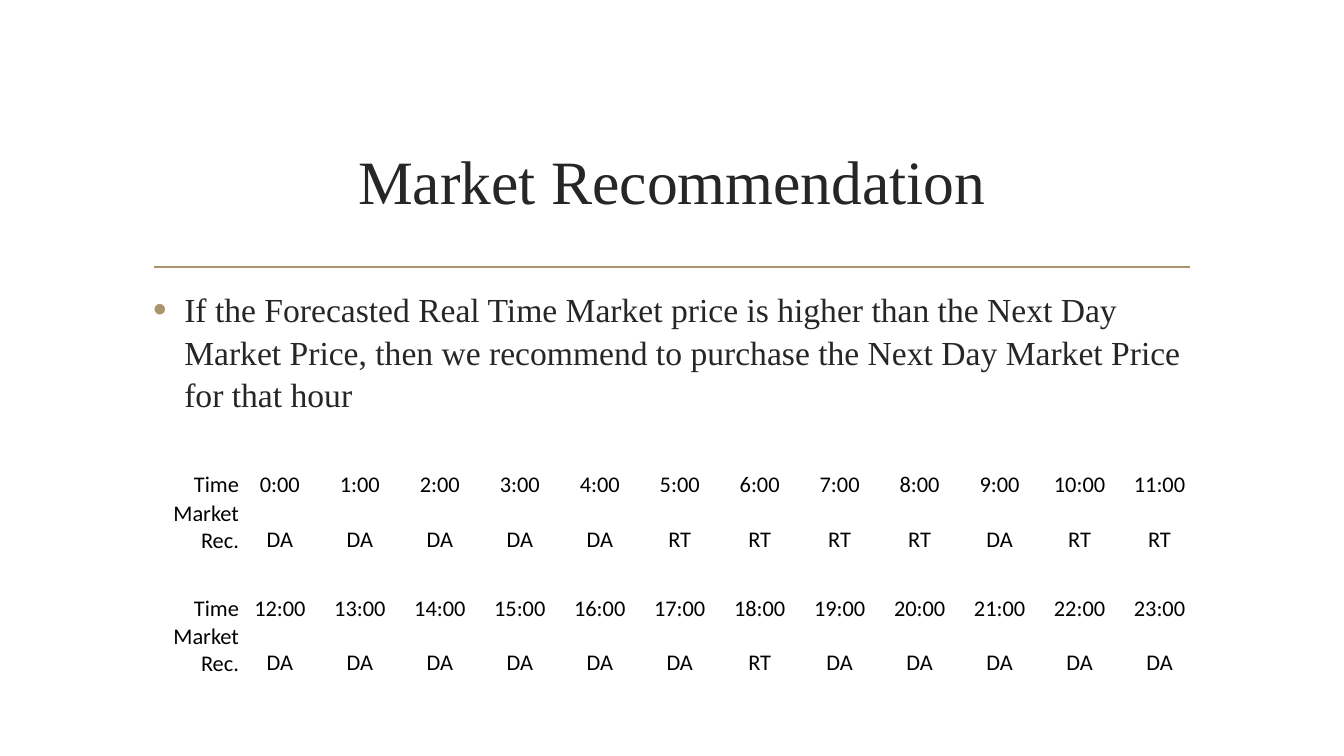
from lxml.etree import SubElement
from pptx import Presentation
from pptx.dml.color import RGBColor
from pptx.enum.shapes import MSO_CONNECTOR
from pptx.enum.text import MSO_ANCHOR as Anchor, PP_ALIGN as Align
from pptx.oxml.ns import qn
from pptx.util import Inches, Pt

WIDTH, HEIGHT = Inches(13.333), Inches(7.5)
GOLD = RGBColor(0xAB, 0x94, 0x6B)
CHARCOAL = RGBColor(0x26, 0x26, 0x26)
BLACK = RGBColor(0, 0, 0)
SERIF, SANS = "Times New Roman", "Calibri"

RULE = "If the Forecasted Real Time Market price is higher than the Next Day Market Price, then we recommend to purchase the Next Day Market Price for that hour"
MORNING = "DA DA DA DA DA RT RT RT RT DA RT RT".split()
EVENING = "DA DA DA DA DA DA RT DA DA DA DA DA".split()
HALF_DAY = 12


def across(percent):
    """Return a share of the slide's width."""
    return round(WIDTH * percent / 100)


def down(percent):
    """Return a share of the slide's height."""
    return round(HEIGHT * percent / 100)


def style(paragraph, font_name, size, color, align):
    """Format a paragraph and its runs."""
    paragraph.alignment = align
    for run in paragraph.runs:
        run.font.name, run.font.size = font_name, Pt(size)
        run.font.color.rgb = color


def add_text(slide, text, top, height, size, align, anchor):
    """Add a text block as wide as the content and return its paragraph."""
    block = slide.shapes.add_textbox(across(10.65), down(top), across(78.75), down(height))
    frame = block.text_frame
    frame.word_wrap = True
    frame.vertical_anchor = anchor
    frame.text = text
    style(frame.paragraphs[0], SERIF, size, CHARCOAL, align)
    return frame.paragraphs[0]


def add_bullet(paragraph):
    """Give a paragraph a hanging gold bullet."""
    properties = paragraph._p.get_or_add_pPr()
    indent = Inches(0.31)
    properties.set("marL", str(indent))
    properties.set("indent", str(-indent))
    bullet_color = SubElement(properties, qn("a:buClr"))
    SubElement(bullet_color, qn("a:srgbClr"), val=str(GOLD))
    SubElement(properties, qn("a:buSzPct"), val="115000")
    SubElement(properties, qn("a:buFont"), typeface="Arial")
    SubElement(properties, qn("a:buChar"), char="•")


def add_divider(slide):
    """Draw the gold line under the title."""
    divider = slide.shapes.add_connector(
        MSO_CONNECTOR.STRAIGHT, across(11.48), down(35.33), across(88.58), down(35.33))
    divider.line.color.rgb = GOLD
    divider.line.width = Pt(1.25)
    SubElement(divider._element.spPr, qn("a:effectLst"))


def schedule_rows(first_hour, markets):
    """Return the time row and the recommendation row of half a day."""
    hours = [f"{first_hour + step}:00" for step in range(HALF_DAY)]
    return [["Time", *hours], ["Market Rec.", *markets]]


def fill_cell(cell, text, align):
    """Write one plain cell with tight margins."""
    cell.fill.background()
    cell.vertical_anchor = Anchor.BOTTOM
    cell.margin_left = cell.margin_right = cell.margin_top = Inches(0.01)
    cell.margin_bottom = 0
    cell.text = text
    style(cell.text_frame.paragraphs[0], SANS, 16, BLACK, align)


def add_schedule(slide, rows):
    """Add the hourly recommendation table."""
    label_width, hour_width, row_height = across(7.35), across(5.95), down(4.53)
    schedule = slide.shapes.add_table(
        len(rows), HALF_DAY + 1, across(10.5), down(61.47),
        label_width + HALF_DAY * hour_width, len(rows) * row_height).table
    schedule.first_row = schedule.horz_banding = False
    for index, column in enumerate(schedule.columns):
        column.width = hour_width if index else label_width
    for row, texts in zip(schedule.rows, rows):
        row.height = row_height
        for index, (cell, text) in enumerate(zip(row.cells, texts)):
            fill_cell(cell, text, Align.CENTER if index else Align.RIGHT)


def main():
    """Build and save the slide."""
    deck = Presentation()
    deck.slide_width, deck.slide_height = WIDTH, HEIGHT
    slide = deck.slides.add_slide(deck.slide_layouts[6])
    add_divider(slide)
    add_text(slide, "Market Recommendation", 14.27, 19.07, 44, Align.CENTER, Anchor.MIDDLE)
    recommendation = add_text(slide, RULE, 37.33, 48.4, 24, Align.LEFT, Anchor.TOP)
    recommendation.line_spacing = 1.05
    recommendation.space_after = Pt(6)
    add_bullet(recommendation)
    gap = [""] * (HALF_DAY + 1)
    add_schedule(slide, [*schedule_rows(0, MORNING), gap, *schedule_rows(HALF_DAY, EVENING)])
    deck.save("out.pptx")


if __name__ == "__main__":
    main()
